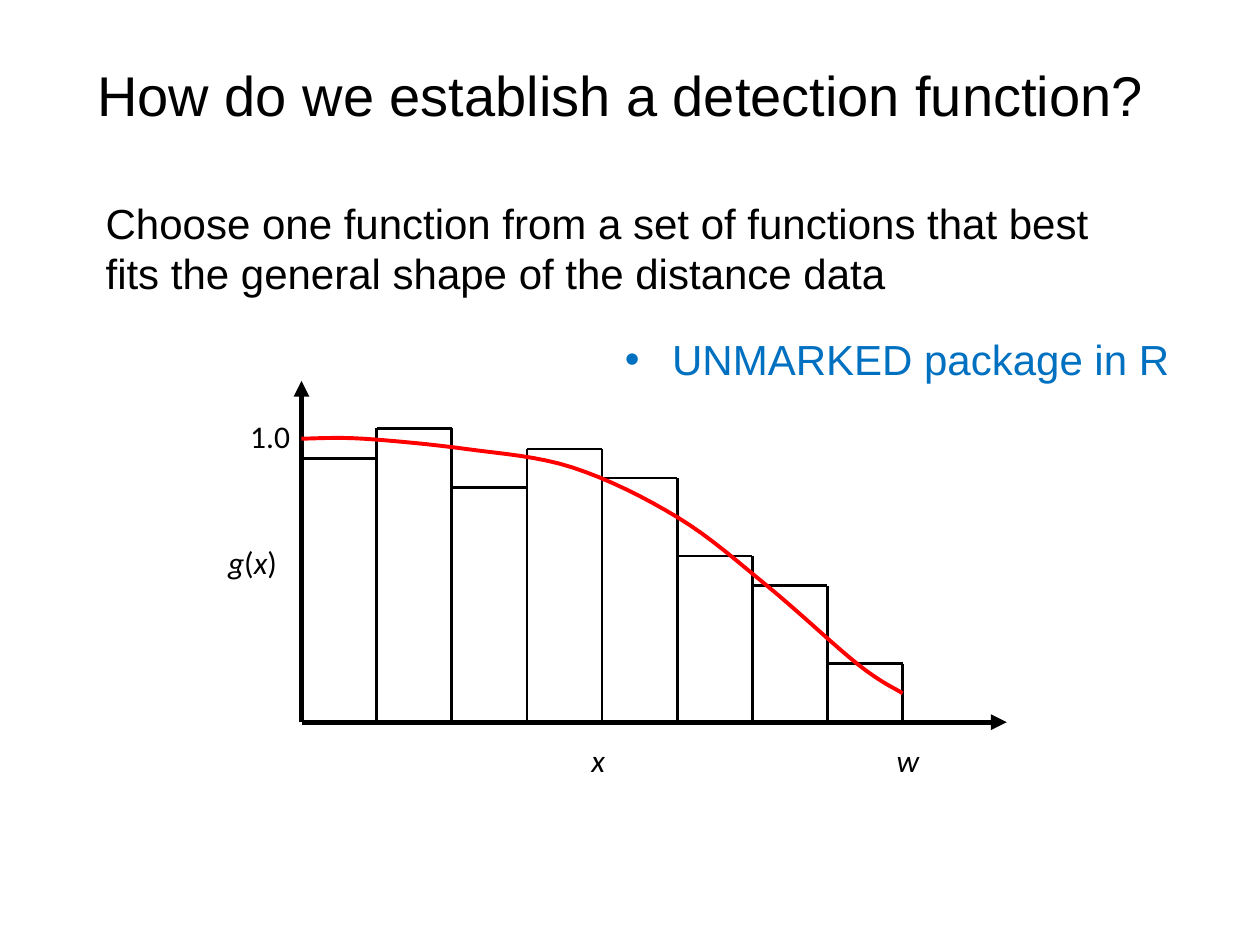
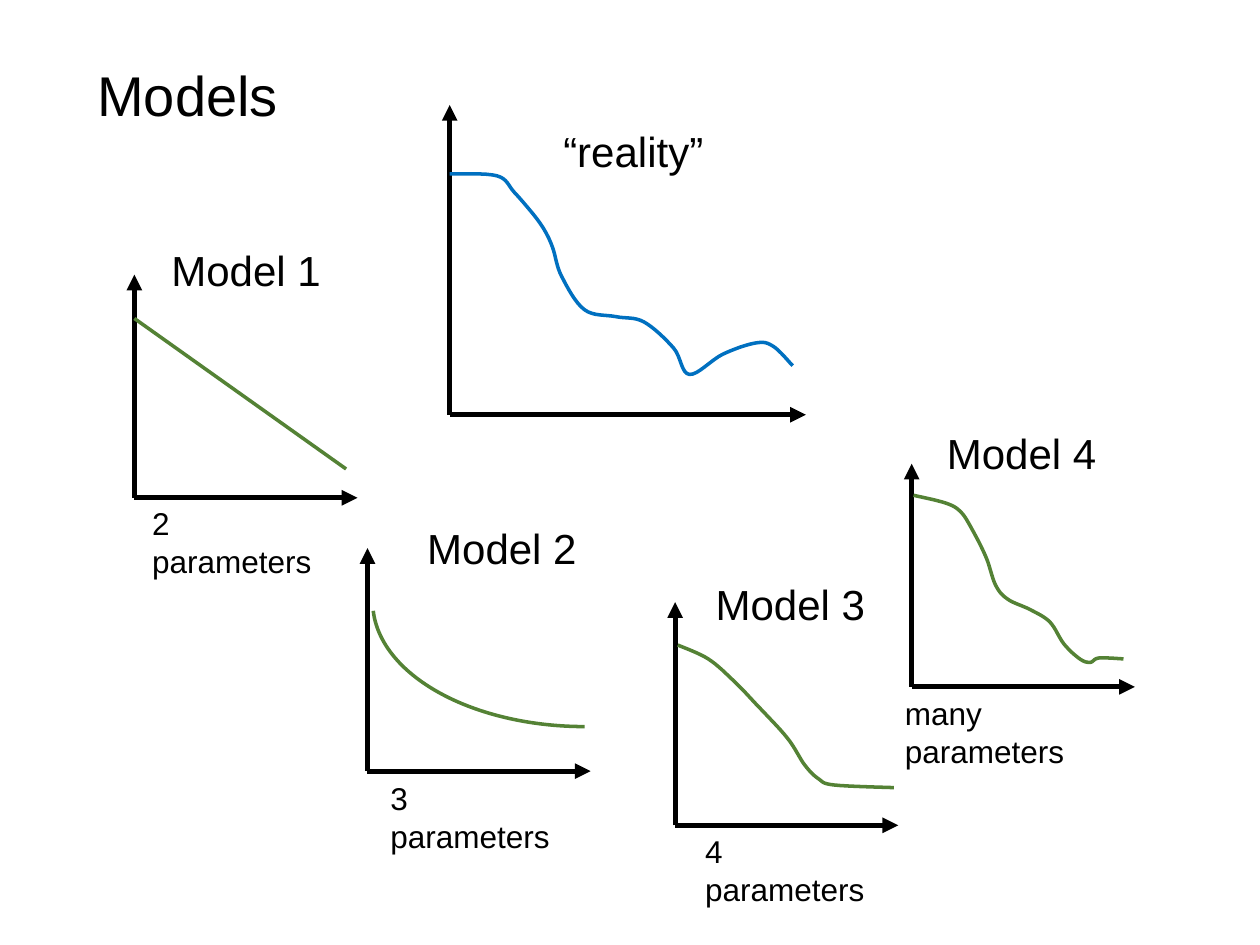
"""Build two slides on choosing a detection function and comparing models."""
import pptx
import pptx.dml.color
import pptx.enum.shapes
import pptx.enum.text
import pptx.oxml.ns
import pptx.util
from lxml import etree

COLORS = {"ink": "000000", "note": "0070C0", "fit": "FF0000", "model": "548235", "paper": "FFFFFF"}
SIZES = {"title": 32, "body": 24, "label": 18}
WIDTHS = {"axis": 3, "fit": 2.25, "curve": 2, "bar": 1.5}
TITLE_BOX = (48.5, 31, 626, 46)
LINE_HEIGHT = {"body": 36, "label": 28}

DETECTION = {
    "title": "How do we establish a detection function?",
    "advice": "Choose one function from a set of functions that best fits the general shape of the distance data",
    "tool": "UNMARKED package in R",
    "origin": (172.3, 412.7),
    "axes": (403, 195),
    "bars_width": 343.5,
    "bar_heights": [150.5, 168, 134, 156, 139.5, 95, 78, 33.5],
    "fit_knots": [(0, 162), (35, 162), (95, 156), (155, 145.5), (215, 117), (266, 78), (318, 33), (343.5, 16.5)],
    "labels": [
        {"center": (-28, 92), "runs": [("g", True), ("(", False), ("x", True), (")", False)]},
        {"center": (-18, 164), "runs": [("1.0", False)]},
        {"center": (169.5, -21), "runs": [("x", True)]},
        {"center": (346.5, -21), "runs": [("w", True)]},
    ],
}
MODELS_TITLE = "Models"
MODEL_AXES = (127.5, 127.5)
PLOTS = [
    {"name": "\u201creality\u201d", "name_at": (57.8, 169), "origin": (257, 237), "axes": (203.5, 177), "ink": "note",
     "knots": [(0, 137.6), (27, 136.5), (37, 127), (49, 113), (55, 104), (59, 95), (64, 79), (77, 60), (95, 56),
               (111, 53), (128, 38), (137, 23), (156, 34.5), (175, 41), (185, 39), (196, 28)]},
    {"name": "Model 1", "name_at": (14, 148.5), "origin": (76.8, 284.5),
     "parameters": "2", "parameters_at": (3, 0), "line": [(0, 102.5), (121, 16.5)]},
    {"name": "Model 2", "name_at": (27, 145.5), "origin": (210, 440.7),
     "parameters": "3", "parameters_at": (6, -1), "arc_at": (3, 167.5), "arc_size": (242, 142)},
    {"name": "Model 3", "name_at": (16, 144.5), "origin": (385.8, 471.6),
     "parameters": "4", "parameters_at": (10, -0.5),
     "knots": [(1.5, 103), (19, 95), (34, 82), (46, 69.5), (64, 50), (74, 34.5), (82, 26.5), (91, 23), (125, 21.5)]},
    {"name": "Model 4", "name_at": (13, 152), "origin": (521, 392.5),
     "parameters": "many", "parameters_at": (-11, -0.5),
     "knots": [(1, 109.5), (19.5, 105), (28, 100), (34.5, 90), (42.5, 74), (48, 58), (55, 50),
               (68, 44), (79, 37), (87, 24.5), (96, 16), (102, 14), (107, 16.5), (121, 16)]},
]
PARAMETERS_WIDTH = {"2": 112, "3": 112, "4": 112, "many": 144}
QUARTER_ARC = (162, 214.62)


def color(name):
    return pptx.dml.color.RGBColor.from_string(COLORS[name])


def pts(values):
    return [pptx.util.Pt(value) for value in values]


def from_origin(origin, offset):
    """Turn an offset (right, up) from a plot's origin into a slide position."""
    return origin[0] + offset[0], origin[1] - offset[1]


def smooth(knots, steps=8):
    """Return points on a Catmull-Rom spline through the knots."""
    padded = [knots[0], *knots, knots[-1]]
    points = [knots[0]]
    for before, start, end, after in zip(padded, padded[1:], padded[2:], padded[3:]):
        for step in range(1, steps + 1):
            t = step / steps
            points.append(tuple(
                b + t / 2 * (c - a + t * (2 * a - 5 * b + 4 * c - d + t * (3 * (b - c) + d - a)))
                for a, b, c, d in zip(before, start, end, after)))
    return points


def add_text(slide, box, runs, size, font="Arial", ink="ink", centered=False, after=0):
    frame = slide.shapes.add_textbox(*pts(box)).text_frame
    frame.word_wrap = True
    paragraph = frame.paragraphs[0]
    paragraph.font.name = font
    paragraph.font.size = pptx.util.Pt(SIZES[size])
    paragraph.font.color.rgb = color(ink)
    paragraph.space_after = pptx.util.Pt(after)
    if centered:
        paragraph.alignment = pptx.enum.text.PP_ALIGN.CENTER
    for text, italic in runs:
        run = paragraph.add_run()
        run.text = text
        run.font.italic = italic
    return paragraph


def add_plain(slide, box, text, size, **style):
    return add_text(slide, box, [(text, None)], size, **style)


def add_bullet(paragraph, indent):
    properties = paragraph._p.get_or_add_pPr()
    properties.set("marL", str(pptx.util.Pt(indent)))
    properties.set("indent", str(-pptx.util.Pt(indent)))
    for tag, key, value in (("a:buFont", "typeface", "Arial"), ("a:buChar", "char", "\u2022")):
        etree.SubElement(properties, pptx.oxml.ns.qn(tag)).set(key, value)


def add_line(slide, start, end, width, ink="ink", arrow=False):
    straight = pptx.enum.shapes.MSO_CONNECTOR.STRAIGHT
    line = slide.shapes.add_connector(straight, *pts((*start, *end)))
    line.line.color.rgb = color(ink)
    line.line.width = pptx.util.Pt(WIDTHS[width])
    if arrow:
        tail = etree.SubElement(line.line._get_or_add_ln(), pptx.oxml.ns.qn("a:tailEnd"))
        tail.set("type", "triangle")
    etree.SubElement(line._element.spPr, pptx.oxml.ns.qn("a:effectLst"))


def add_axes(slide, origin, lengths):
    across, up = lengths
    for tip in ((across, 0), (0, up)):
        add_line(slide, origin, from_origin(origin, tip), "axis", arrow=True)


def outline(shape, ink, width):
    shape.shadow.inherit = False
    shape.fill.background()
    shape.line.color.rgb = color(ink)
    shape.line.width = pptx.util.Pt(WIDTHS[width])


def add_curve(slide, origin, knots, ink, width):
    start, *rest = [pts(from_origin(origin, point)) for point in smooth(knots)]
    builder = slide.shapes.build_freeform(*start)
    builder.add_line_segments(rest, close=False)
    outline(builder.convert_to_shape(), ink, width)


def add_arc(slide, corner, size, ink):
    arc = slide.shapes.add_shape(pptx.enum.shapes.MSO_SHAPE.ARC, *pts((*corner, *size)))
    arc.adjustments[0], arc.adjustments[1] = QUARTER_ARC
    arc.rotation = 180
    outline(arc, ink, "curve")


def add_titled_slide(deck, title):
    slide = deck.slides.add_slide(deck.slide_layouts[6])
    slide.background.fill.solid()
    slide.background.fill.fore_color.rgb = color("paper")
    add_plain(slide, TITLE_BOX, title, "title", after=12)
    return slide


def draw_histogram(slide, origin, total_width, heights):
    bar_width = total_width / len(heights)
    for index, (height, following) in enumerate(zip(heights, heights[1:] + [0])):
        left, right = index * bar_width, (index + 1) * bar_width
        top_left, top_right, side_top, foot = [
            from_origin(origin, corner)
            for corner in ((left, height), (right, height), (right, max(height, following)), (right, 0))]
        add_line(slide, top_left, top_right, "bar")
        add_line(slide, side_top, foot, "bar")


def draw_detection(slide):
    origin = DETECTION["origin"]
    add_axes(slide, origin, DETECTION["axes"])
    draw_histogram(slide, origin, DETECTION["bars_width"], DETECTION["bar_heights"])
    add_curve(slide, origin, DETECTION["fit_knots"], "fit", "fit")
    label_width, label_height = 60, LINE_HEIGHT["label"]
    for label in DETECTION["labels"]:
        x, y = from_origin(origin, label["center"])
        box = (x - label_width / 2, y - label_height / 2, label_width, label_height)
        add_text(slide, box, label["runs"], "label", font="Calibri", centered=True)
    add_plain(slide, (53.3, 109.3, 606, 65.5), DETECTION["advice"], "body", after=6)
    tool_box = (350, 187, 329, LINE_HEIGHT["body"])
    add_bullet(add_plain(slide, tool_box, DETECTION["tool"], "body", ink="note"), 27)


def draw_plot(slide, plot):
    origin, ink = plot["origin"], plot.get("ink", "model")
    add_axes(slide, origin, plot.get("axes", MODEL_AXES))
    if "line" in plot:
        start, end = [from_origin(origin, point) for point in plot["line"]]
        add_line(slide, start, end, "curve", ink)
    elif "arc_at" in plot:
        add_arc(slide, from_origin(origin, plot["arc_at"]), plot["arc_size"], ink)
    else:
        add_curve(slide, origin, plot["knots"], ink, "curve")
    name_box = (*from_origin(origin, plot["name_at"]), 101, LINE_HEIGHT["body"])
    add_plain(slide, name_box, plot["name"], "body")
    if "parameters" in plot:
        count = plot["parameters"]
        corner = from_origin(origin, plot["parameters_at"])
        add_plain(slide, (*corner, PARAMETERS_WIDTH[count], LINE_HEIGHT["label"]), f"{count} parameters", "label")


deck = pptx.Presentation()
deck.slide_width, deck.slide_height = pts((720, 540))
draw_detection(add_titled_slide(deck, DETECTION["title"]))
models_slide = add_titled_slide(deck, MODELS_TITLE)
for plot in PLOTS:
    draw_plot(models_slide, plot)
deck.save("out.pptx")
